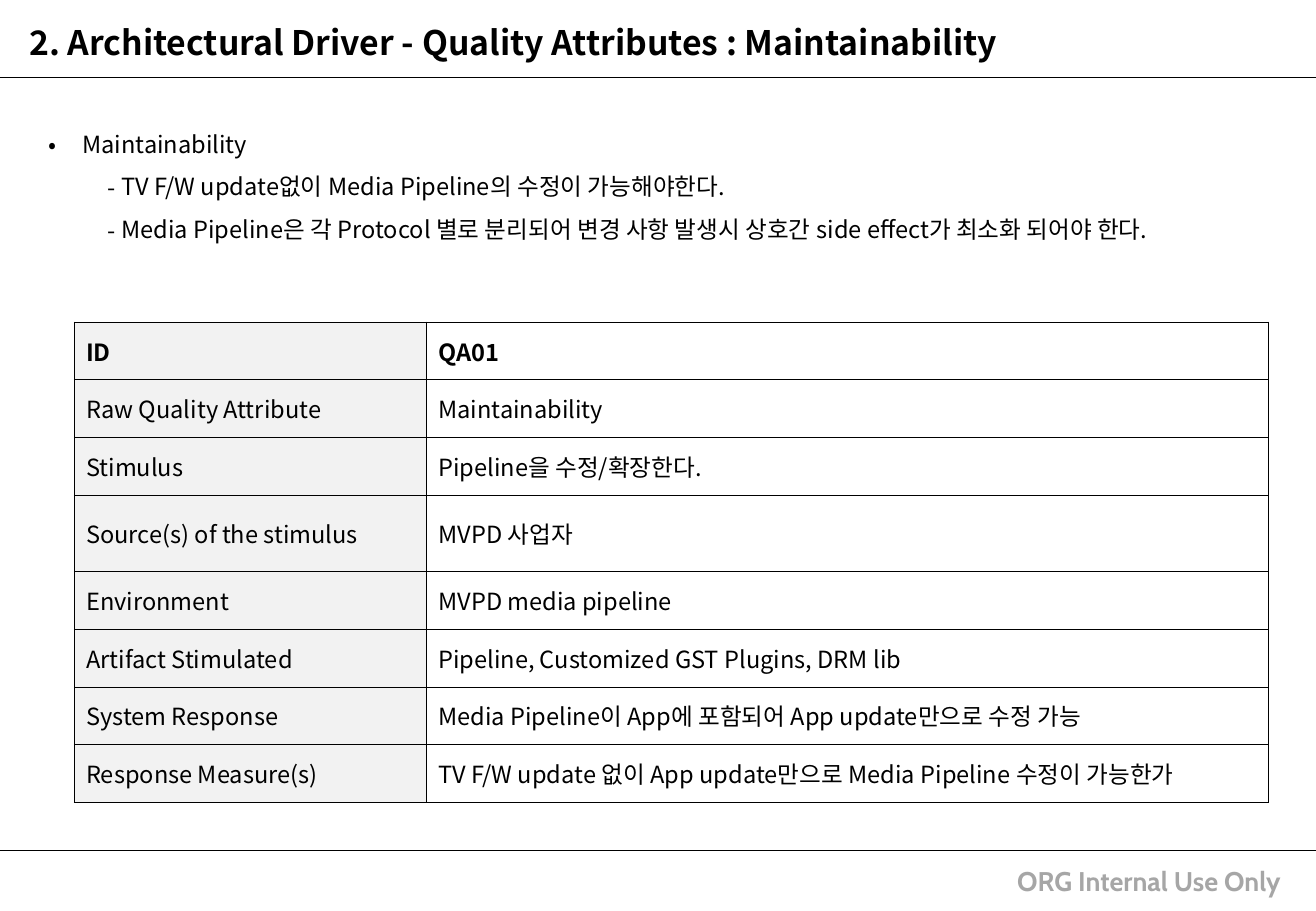
from lxml import etree
from pptx import Presentation
from pptx.dml.color import RGBColor
from pptx.enum.shapes import MSO_CONNECTOR
from pptx.enum.text import MSO_ANCHOR, PP_ALIGN
from pptx.oxml.ns import qn
from pptx.util import Inches, Pt

STRAIGHT = MSO_CONNECTOR.STRAIGHT
TOP, MIDDLE, LEFT = MSO_ANCHOR.TOP, MSO_ANCHOR.MIDDLE, PP_ALIGN.LEFT
TITLE_ONLY = 5
SANS, FOOTER_FONT = "Noto Sans CJK KR", "Cabin"
COLORS = {"black": "000000", "label": "F2F2F2", "footer": "A6A6A6"}
SLIDE_WIDTH = 10.84

TITLE = "2. Architectural Driver - Quality Attributes : Maintainability"
REQUIREMENTS = [
    ("•", "Maintainability"),
    ("-", "TV F/W update없이 Media Pipeline의 수정이 가능해야한다."),
    ("-", "Media Pipeline은 각 Protocol 별로 분리되어 변경 사항 발생시 상호간 "
          "side effect가 최소화 되어야 한다."),
]
BULLET_INDENTS = {"•": (0, 0.28, 0.28), "-": (1, 0.6, 0.11)}
SCENARIO = [
    ("ID", "QA01"),
    ("Raw Quality Attribute", "Maintainability"),
    ("Stimulus", "Pipeline을 수정/확장한다."),
    ("Source(s) of the stimulus", "MVPD 사업자"),
    ("Environment", "MVPD media pipeline"),
    ("Artifact Stimulated", "Pipeline, Customized GST Plugins, DRM lib"),
    ("System Response", "Media Pipeline이 App에 포함되어 App update만으로 수정 가능"),
    ("Response Measure(s)", "TV F/W update 없이 App update만으로 Media Pipeline 수정이 가능한가"),
]
COLUMN_WIDTHS = (2.9, 6.94)
ROW_HEIGHT, TALL_ROW, TALL_HEIGHT = 0.475, 3, 0.63


def rgb(name):
    """Return the named colour."""
    return RGBColor.from_string(COLORS[name])


def write_text(paragraph, text, size=14, font=SANS, color="black", bold=False, spacing=None):
    """Write one formatted run into a paragraph."""
    paragraph.alignment = LEFT
    if spacing:
        paragraph.line_spacing = Pt(spacing)
    run = paragraph.add_run()
    run.text = text
    run.font.size = Pt(size)
    run.font.name = font
    run.font.bold = bold
    run.font.color.rgb = rgb(color)
    east_asian = etree.SubElement(run.font._element, qn("a:ea"))
    east_asian.set("typeface", font)


def add_title(slide):
    """Place and format the title placeholder."""
    title = slide.shapes.title
    title.left, title.top = Inches(0.14), Inches(0.13)
    title.width, title.height = Inches(10.32), Inches(0.44)
    title.text_frame.vertical_anchor = TOP
    write_text(title.text_frame.paragraphs[0], TITLE, size=20, bold=True, spacing=24.2)


def add_rule(slide, y):
    """Draw a line across the slide."""
    rule = slide.shapes.add_connector(STRAIGHT, 0, Inches(y), Inches(SLIDE_WIDTH), Inches(y))
    rule.line.color.rgb = rgb("black")
    rule.line.width = Pt(0.75)
    etree.SubElement(rule._element.spPr, qn("a:effectLst"))


def add_text_frame(slide, left, top, width, height, wrap=True):
    """Add a text box and return its text frame."""
    box = slide.shapes.add_textbox(Inches(left), Inches(top), Inches(width), Inches(height))
    box.text_frame.word_wrap = wrap
    return box.text_frame


def set_bullet(paragraph, character):
    """Give a paragraph its bullet, level and hanging indent."""
    level, margin, hanging = BULLET_INDENTS[character]
    properties = paragraph._p.get_or_add_pPr()
    properties.set("marL", str(Inches(margin)))
    properties.set("indent", str(-Inches(hanging)))
    etree.SubElement(properties, qn("a:buFont")).set("typeface", SANS)
    etree.SubElement(properties, qn("a:buChar")).set("char", character)
    paragraph.level = level


def add_requirements(slide):
    """Add the bulleted requirements."""
    frame = add_text_frame(slide, 0.3, 0.9, 10.32, 1.15)
    for index, (character, text) in enumerate(REQUIREMENTS):
        paragraph = frame.add_paragraph() if index else frame.paragraphs[0]
        set_bullet(paragraph, character)
        write_text(paragraph, text, spacing=25.2)


def set_borders(cell):
    """Draw thin lines on all sides of a cell."""
    properties = cell._tc.get_or_add_tcPr()
    for side in ("lnL", "lnR", "lnT", "lnB"):
        line = etree.SubElement(properties, qn(f"a:{side}"), w=str(Pt(0.23)))
        fill = etree.SubElement(line, qn("a:solidFill"))
        etree.SubElement(fill, qn("a:srgbClr"), val=COLORS["black"])


def add_scenario_table(slide):
    """Add the quality attribute scenario table."""
    table = slide.shapes.add_table(
        len(SCENARIO), len(COLUMN_WIDTHS), Inches(0.61), Inches(2.65), Inches(9.84), Inches(3.95)
    ).table
    table.first_row = table.horz_banding = False
    for column, width in zip(table.columns, COLUMN_WIDTHS):
        column.width = Inches(width)
    for row_index, texts in enumerate(SCENARIO):
        height = TALL_HEIGHT if row_index == TALL_ROW else ROW_HEIGHT
        table.rows[row_index].height = Inches(height)
        for column_index, text in enumerate(texts):
            cell = table.cell(row_index, column_index)
            cell.vertical_anchor = MIDDLE
            set_borders(cell)
            if column_index == 0:
                cell.fill.solid()
                cell.fill.fore_color.rgb = rgb("label")
            else:
                cell.fill.background()
            write_text(cell.text_frame.paragraphs[0], text, bold=row_index == 0)


def add_footer(slide):
    """Add the confidentiality note."""
    frame = add_text_frame(slide, 8.28, 7.07, 2.61, 0.37, wrap=False)
    write_text(frame.paragraphs[0], "ORG Internal Use Only", size=16,
               font=FOOTER_FONT, color="footer", bold=True)


def main():
    """Build and save the presentation."""
    presentation = Presentation()
    presentation.slide_width = Inches(SLIDE_WIDTH)
    presentation.slide_height = Inches(7.5)
    slide = presentation.slides.add_slide(presentation.slide_layouts[TITLE_ONLY])
    for y in (0.64, 7):
        add_rule(slide, y)
    add_title(slide)
    add_requirements(slide)
    add_scenario_table(slide)
    add_footer(slide)
    presentation.save("out.pptx")


if __name__ == "__main__":
    main()
